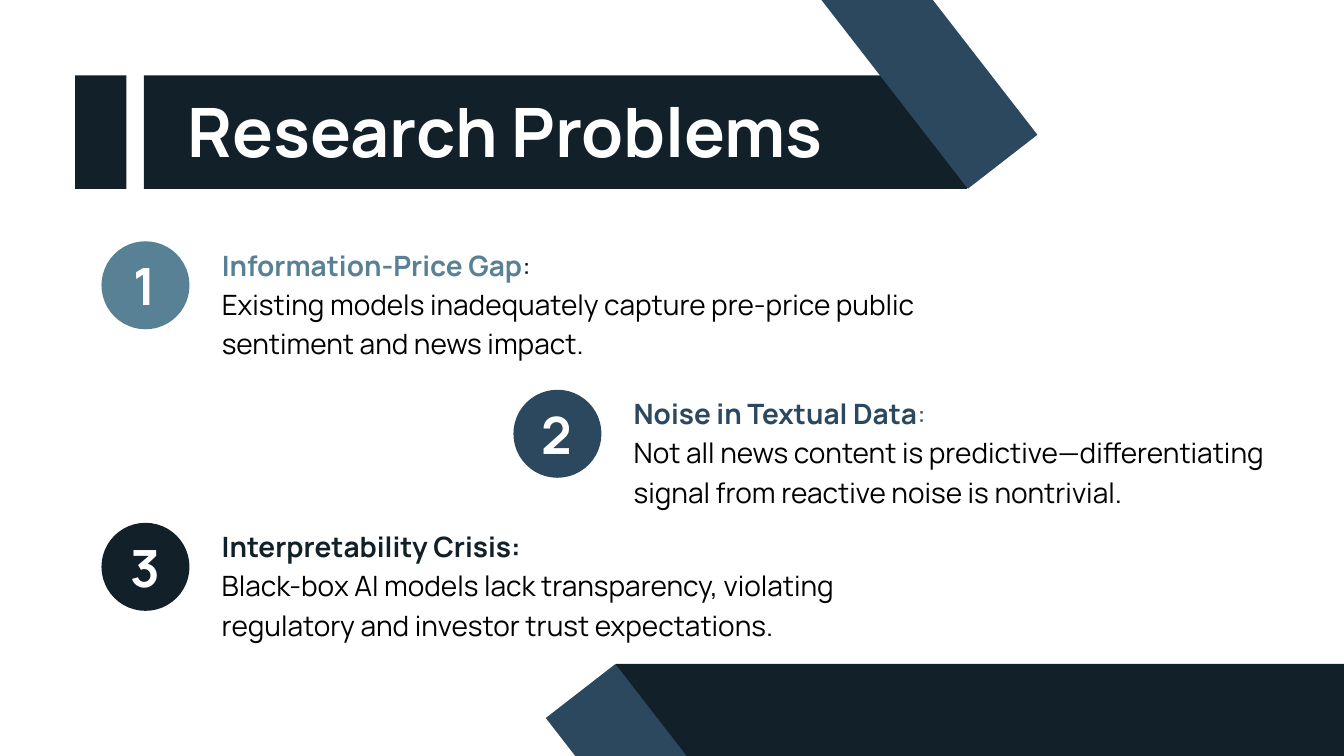
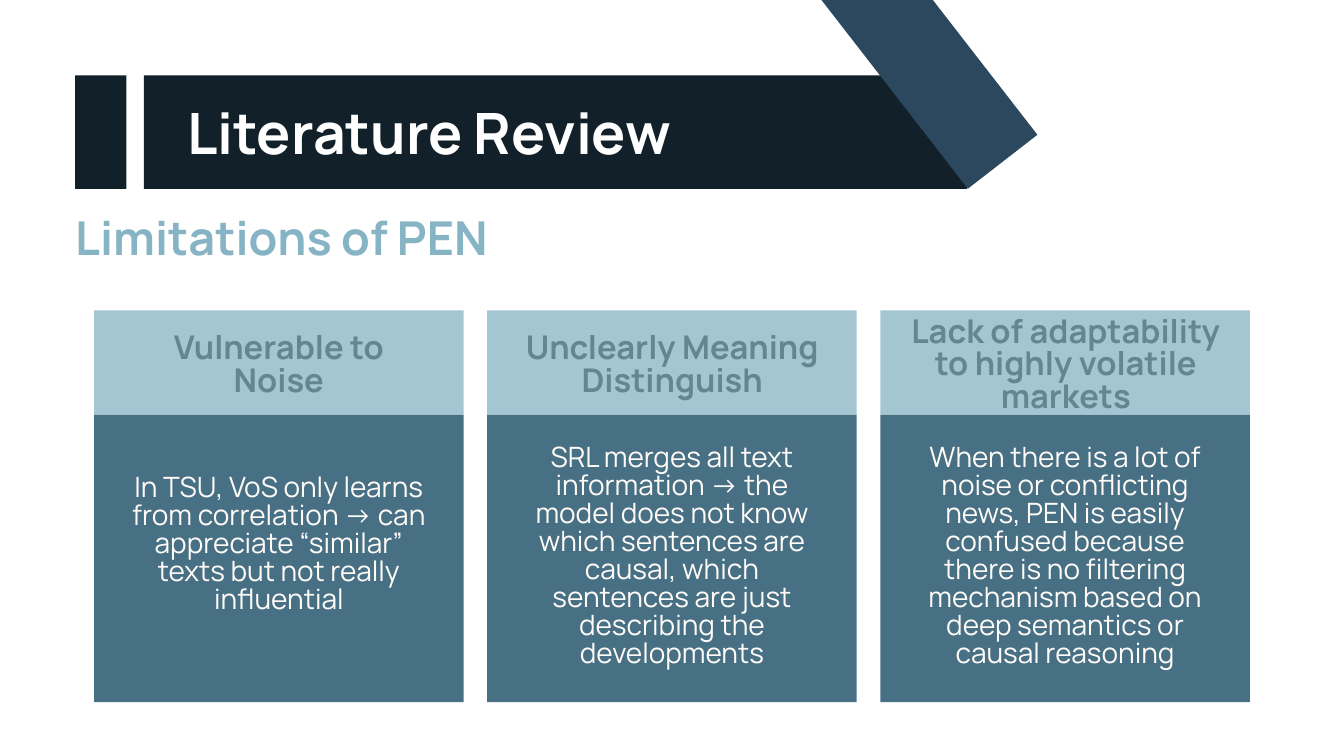
import dataclasses

import pptx
import pptx.dml.color
import pptx.enum.shapes
import pptx.enum.text
import pptx.oxml.ns
import pptx.util

# Shared look: the slide is a grid of one-inch cells
COLUMNS, ROWS = 20, 11.25
FONT = "Manrope"
INK, NAVY, TEAL, SKY = "122029", "2B485F", "598196", "86B4C4"
DEEP, WHITE, CREAM, BLACK = "0B415D", "FFFFFF", "FFFBF7", "000000"
BAND_TILT = 232.2

SHAPES = pptx.enum.shapes.MSO_SHAPE
LEFT = pptx.enum.text.PP_ALIGN.LEFT
CENTER = pptx.enum.text.PP_ALIGN.CENTER


@dataclasses.dataclass
class Box:
    left: float
    top: float
    width: float
    height: float

    def inner(self, across, down, width, height):
        return Box(self.left + across, self.top + down, width, height)

    def columns(self, count, gap):
        width = (self.width - gap * (count - 1)) / count
        return [self.inner(i * (width + gap), 0, width, self.height)
                for i in range(count)]

    def lengths(self):
        return [pptx.util.Inches(v) for v in dataclasses.astuple(self)]


def color(value):
    return pptx.dml.color.RGBColor.from_string(value)


def apply(target, formats):
    for name, value in formats.items():
        setattr(target, name, value)


def add_block(page, box, fill, kind=SHAPES.RECTANGLE, rotation=0, opacity=100):
    shape = page.shapes.add_shape(kind, *box.lengths())
    shape.shadow.inherit = False
    shape.rotation = rotation
    shape.fill.solid()
    shape.fill.fore_color.rgb = color(fill)
    shape.line.fill.background()
    if opacity < 100:
        tint = shape._element.spPr.find(".//" + pptx.oxml.ns.qn("a:srgbClr"))
        alpha = tint.makeelement(pptx.oxml.ns.qn("a:alpha"),
                                 {"val": str(opacity * 1000)})
        tint.append(alpha)
    return shape


def add_text(page, box, paragraphs, size, align=LEFT, leading=1.4):
    """Each paragraph is a list of (text, colour, bold) spans."""
    frame = page.shapes.add_textbox(*box.lengths()).text_frame
    apply(frame, {
        "word_wrap": True,
        "auto_size": pptx.enum.text.MSO_AUTO_SIZE.SHAPE_TO_FIT_TEXT,
        "margin_left": 0, "margin_top": 0,
        "margin_right": 0, "margin_bottom": 0,
    })
    for index, spans in enumerate(paragraphs):
        para = frame.add_paragraph() if index else frame.paragraphs[0]
        apply(para, {"alignment": align,
                     "line_spacing": pptx.util.Pt(round(size * leading, 1))})
        for text, tone, bold in spans:
            span = para.add_run()
            span.text = text
            apply(span.font, {"name": FONT, "bold": bold,
                              "size": pptx.util.Pt(size)})
            span.font.color.rgb = color(tone)


def add_ribbon(page, box, band_across, band_down):
    """Dark bar with a slanted band crossing one end."""
    add_block(page, box, INK)
    add_block(page, box.inner(band_across, band_down, 5.32, 1.31), NAVY,
              rotation=BAND_TILT)


def add_header(page, title, size, title_box):
    bar = Box(2.14, 1.12, 12.25, 1.69)
    add_ribbon(page, bar, 8.49, -1.47)
    add_block(page, bar.inner(-1.02, 0, 0.76, bar.height), INK)
    add_text(page, title_box, [[(title, WHITE, True)]], size)


# Slide 1: numbered problems
def add_problem(page, box, number, tone, heading, body):
    add_block(page, box.inner(0, 0, 1.31, 1.31), tone, SHAPES.OVAL)
    add_text(page, box.inner(0.1, 0.04, 1.1, 1.08),
             [[(str(number), WHITE, True)]], 55, CENTER)
    add_text(page, box.inner(1.79, 0.02, box.width - 1.79, 1.76),
             [heading, [(body, BLACK, False)]], 30)


def build_problems(page):
    add_header(page, "Research Problems", 73, Box(2.79, 1.13, 10.66, 1.44))
    add_ribbon(page, Box(9.16, 9.88, 12.25, 1.69), -1.55, 1.85)
    problems = [
        (Box(1.51, 3.59, 13.18, 1.78), TEAL,
         [("Information-Price Gap", TEAL, True), (":", BLACK, False)],
         "Existing models inadequately capture pre-price public "
         "sentiment and news impact."),
        (Box(7.64, 5.8, 12.23, 1.78), NAVY,
         [("Noise in Textual Data", NAVY, True), (":", NAVY, False)],
         "Not all news content is predictive—differentiating "
         "signal from reactive noise is nontrivial."),
        (Box(1.51, 7.78, 12.25, 1.78), INK,
         [("Interpretability Crisis:", INK, True)],
         "Black-box AI models lack transparency, violating "
         "regulatory and investor trust expectations."),
    ]
    for number, (box, tone, heading, body) in enumerate(problems, 1):
        add_problem(page, box, number, tone, heading, body)


# Slide 2: limitation cards
def add_card(page, box, heading, heading_box, body, body_top):
    head = box.inner(0, 0, box.width, 1.55)
    panel = box.inner(0, head.height, box.width, box.height - head.height)
    add_block(page, panel, DEEP, opacity=75)
    add_text(page, panel.inner(0.44, body_top, 4.62, panel.height - 2 * body_top),
             [[(body, CREAM, False)]], 30, CENTER, leading=1)
    # The heading lies under the translucent strip
    add_text(page, head.inner(*heading_box), [[(heading, BLACK, True)]], 35,
             CENTER, leading=1)
    add_block(page, head, SKY, opacity=75)


def build_review(page):
    add_header(page, "Literature Review", 61, Box(2.79, 1.28, 12.65, 1.2))
    add_text(page, Box(1.12, 2.97, 6.56, 0.99),
             [[("Limitations of PEN", SKY, True)]], 50)
    cards = [
        ("Vulnerable to Noise", (0.8, 0.34, 3.9, 1.02),
         "In TSU, VoS only learns from correlation → can appreciate "
         "“similar” texts but not really influential", 0.9),
        ("Unclearly Meaning Distinguish", (0.27, 0.34, 4.97, 1.02),
         "SRL merges all text information → the model does not know which "
         "sentences are causal, which sentences are just describing the "
         "developments", 0.46),
        ("Lack of adaptability to highly volatile markets",
         (0.27, 0.1, 4.98, 1.5),
         "When there is a lot of noise or conflicting news, PEN is easily "
         "confused because there is no filtering mechanism based on deep "
         "semantics or causal reasoning", 0.46),
    ]
    row = Box(1.4, 4.62, 17.2, 5.83)
    for box, card in zip(row.columns(len(cards), 0.35), cards):
        add_card(page, box, *card)


def main():
    deck = pptx.Presentation()
    apply(deck, {"slide_width": pptx.util.Inches(COLUMNS),
                 "slide_height": pptx.util.Inches(ROWS)})
    for build in (build_problems, build_review):
        build(deck.slides.add_slide(deck.slide_layouts[6]))
    deck.save("out.pptx")


if __name__ == "__main__":
    main()
